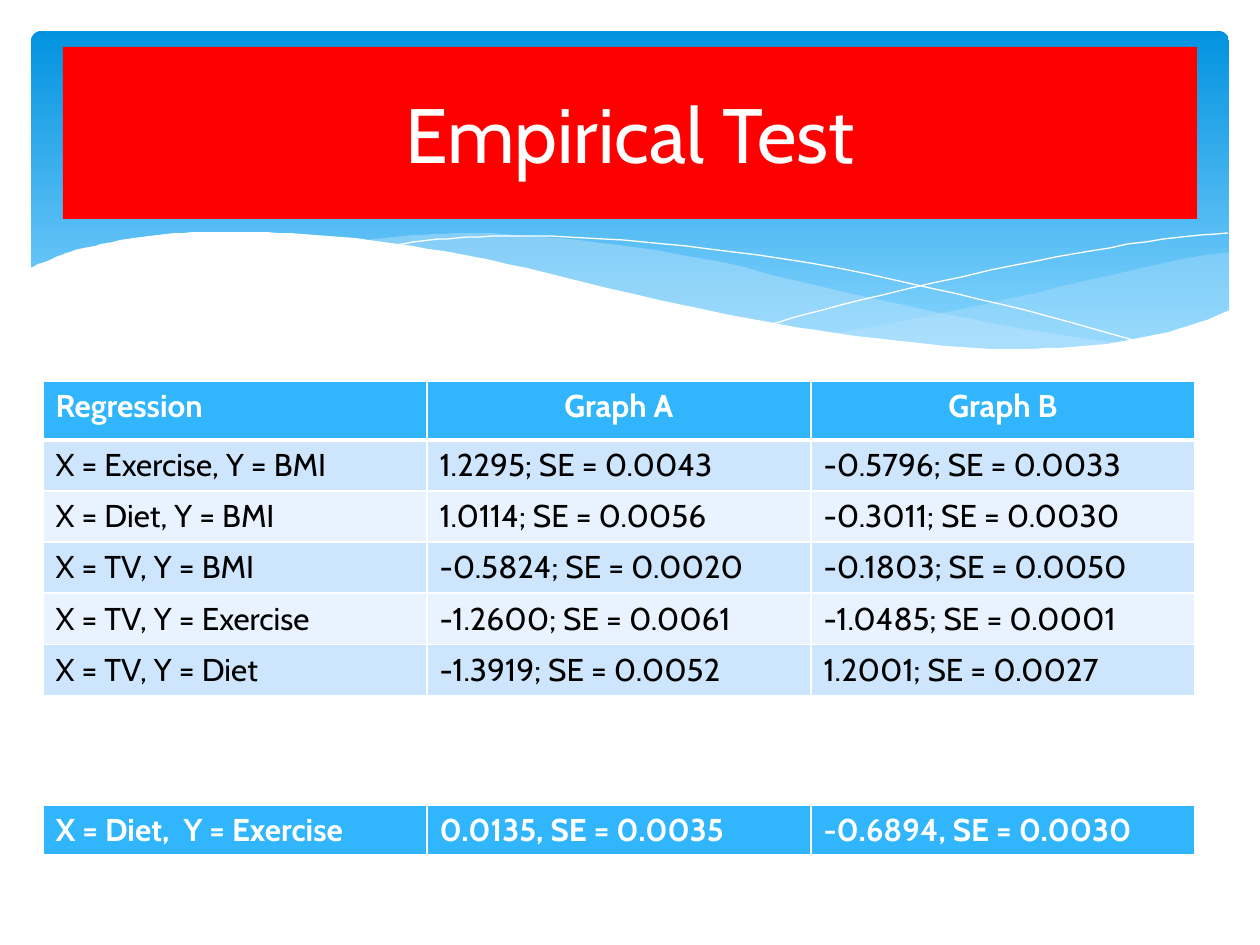
from lxml import etree
from pptx import Presentation
from pptx.dml.color import RGBColor
from pptx.enum.shapes import MSO_SHAPE as Shape
from pptx.enum.text import MSO_ANCHOR as Anchor, PP_ALIGN as Align
from pptx.oxml.ns import qn
from pptx.util import Pt

PX = 9144000 // 1260  # EMU in one px, 126 px to the inch
FONT = "Cabin"
COLORS = {
    "white": "FFFFFF", "black": "000000", "red": "FF0000", "header": "31B6FD",
    "band": "CEE5FE", "pale": "E8F3FF", "mist": "C6E7FC",
    "sky_top": "0293E0", "sky_bottom": "83D3FE",
}

TITLE = "Empirical Test"
HEADINGS = ["Regression", "Graph A", "Graph B"]
RESULTS = [
    ["X = Exercise, Y = BMI", "1.2295; SE = 0.0043", "-0.5796; SE = 0.0033"],
    ["X = Diet, Y = BMI", "1.0114; SE = 0.0056", "-0.3011; SE = 0.0030"],
    ["X = TV, Y = BMI", "-0.5824; SE = 0.0020", "-0.1803; SE = 0.0050"],
    ["X = TV, Y = Exercise", "-1.2600; SE = 0.0061", "-1.0485; SE = 0.0001"],
    ["X = TV, Y = Diet", "-1.3919; SE = 0.0052", "1.2001; SE = 0.0027"],
]
LAST_TEST = ["X = Diet,  Y = Exercise", "0.0135, SE = 0.0035", "-0.6894, SE = 0.0030"]
TABLE_LEFT, COLUMN_WIDTH, HEADING_HEIGHT, ROW_HEIGHT = 43, 384, 59, 51

# Each wave is a list of smooth curves that meet at corners.
RIGHT_WAVE = [
    [(1230, 252), (1194, 257), (1142, 268), (1085, 281), (982, 305), (889, 324), (833, 334)],
    [(833, 334), (906, 343), (969, 348), (1026, 350), (1076, 348), (1120, 343),
     (1160, 334), (1196, 324), (1230, 311)],
]
MIDDLE_WAVE = [
    [(1125, 344), (1055, 334), (977, 320), (890, 302), (793, 280), (736, 265),
     (699, 258), (648, 249), (586, 241), (529, 236), (479, 233), (433, 234),
     (394, 237), (360, 241)],
    [(360, 241), (431, 251), (509, 266), (566, 280), (668, 302), (757, 321),
     (838, 335), (911, 345), (974, 349), (1031, 350), (1081, 349), (1125, 344)],
]
FALLING_LINE = [[(389, 246), (422, 241), (457, 238), (505, 236), (567, 237), (643, 242),
                 (733, 252), (838, 268), (958, 294), (1047, 316), (1143, 343)]]
RISING_LINE = [[(772, 324), (823, 310), (907, 289), (1016, 265), (1091, 251),
                (1164, 239), (1228, 233)]]
WHITE_WAVE = [
    [(1231, 310), (1197, 323), (1159, 334), (1118, 342), (1071, 347), (1019, 349),
     (961, 347), (892, 340), (816, 330), (730, 315), (634, 294), (527, 268),
     (460, 254), (398, 244), (341, 237), (290, 233), (243, 232), (203, 232),
     (166, 234), (134, 238), (107, 243), (84, 248), (66, 253), (50, 260), (29, 268)],
    [(29, 415), (1231, 415)],
]


def rgb(name):
    return RGBColor.from_string(COLORS[name])


def smooth(points, steps=4):
    """Return points along a Catmull-Rom curve through the given points."""
    padded = [points[0], *points, points[-1]]
    curve = [points[0]]
    for a, b, c, d in zip(padded, padded[1:], padded[2:], padded[3:]):
        for step in range(1, steps + 1):
            t = step / steps
            curve.append(tuple(
                0.5 * (2 * q + (r - p) * t + (2 * p - 5 * q + 4 * r - s) * t ** 2
                       + (3 * q - p - 3 * r + s) * t ** 3)
                for p, q, r, s in zip(a, b, c, d)))
    return curve


def write(frame, text, size=18, color="black", bold=False, align=Align.LEFT):
    para = frame.paragraphs[0]
    para.alignment = align
    span = para.add_run()
    span.text = text
    span.font.name, span.font.size, span.font.bold = FONT, Pt(size), bold
    span.font.color.rgb = rgb(color)


def add_box(page, kind, left, top, width, height):
    box = page.shapes.add_shape(kind, left * PX, top * PX, width * PX, height * PX)
    box.shadow.inherit = False
    box.line.fill.background()
    return box


def add_wave(page, curves, fill=None, opacity=100):
    """Draw a filled outline, or a white hairline when no fill is given."""
    points = [point for curve in curves for point in smooth(curve)]
    builder = page.shapes.build_freeform(*points[0], scale=PX)
    builder.add_line_segments(points[1:], close=fill is not None)
    wave = builder.convert_to_shape()
    wave.shadow.inherit = False
    if fill is None:
        wave.fill.background()
        wave.line.color.rgb = rgb("white")
        wave.line.width = 0
        return
    wave.fill.solid()
    wave.fill.fore_color.rgb = rgb(fill)
    wave.line.fill.background()
    if opacity < 100:
        color = wave._element.spPr.find(qn("a:solidFill")).find(qn("a:srgbClr"))
        etree.SubElement(color, qn("a:alpha"), val=str(opacity * 1000))


def add_borders(cell, **widths):
    properties = cell._tc.get_or_add_tcPr()
    for side, points in widths.items():
        line = etree.SubElement(properties, qn(f"a:ln{side}"), w=str(Pt(points)))
        fill = etree.SubElement(line, qn("a:solidFill"))
        etree.SubElement(fill, qn("a:srgbClr"), val=COLORS["white"])


def add_results(page, top, rows, heights, strong_border, centre_headings):
    """Add a table whose first row is a bold heading row."""
    columns = len(rows[0])
    table = page.shapes.add_table(
        len(rows), columns, TABLE_LEFT * PX, top * PX,
        columns * COLUMN_WIDTH * PX, sum(heights) * PX).table
    table.first_row = table.horz_banding = False
    for column in table.columns:
        column.width = COLUMN_WIDTH * PX
    for r, (row, height) in enumerate(zip(rows, heights)):
        table.rows[r].height = height * PX
        heading = r == 0
        for c, text in enumerate(row):
            cell = table.cell(r, c)
            add_borders(cell, L=1, R=1, T=strong_border if r == 1 else 1,
                        B=strong_border if heading else 1)
            cell.fill.solid()
            cell.fill.fore_color.rgb = rgb("header" if heading else ("pale", "band")[r % 2])
            centred = heading and centre_headings and c > 0
            write(cell.text_frame, text, color="white" if heading else "black",
                  bold=heading, align=Align.CENTER if centred else Align.LEFT)


def main():
    deck = Presentation()
    deck.slide_width, deck.slide_height = 1260 * PX, 945 * PX
    page = deck.slides.add_slide(deck.slide_layouts[6])

    sky = add_box(page, Shape.ROUNDED_RECTANGLE, 31, 31, 1198, 340)
    sky.adjustments[0] = 0.03
    sky.fill.gradient()
    sky.fill.gradient_angle = 270
    for stop, position, color in zip(sky.fill.gradient_stops, (0, 0.9), ("sky_top", "sky_bottom")):
        stop.position = position
        stop.color.rgb = rgb(color)

    add_wave(page, RIGHT_WAVE, "mist", 29)
    add_wave(page, MIDDLE_WAVE, "mist", 40)
    add_wave(page, FALLING_LINE)
    add_wave(page, RISING_LINE)
    add_wave(page, WHITE_WAVE, "white")

    heights = [HEADING_HEIGHT] + [ROW_HEIGHT] * len(RESULTS)
    add_results(page, 381, [HEADINGS, *RESULTS], heights, 3, True)

    banner = add_box(page, Shape.RECTANGLE, 63, 47, 1134, 172)
    banner.fill.solid()
    banner.fill.fore_color.rgb = rgb("red")
    banner.text_frame.word_wrap = True
    banner.text_frame.vertical_anchor = Anchor.MIDDLE
    write(banner.text_frame, TITLE, size=44, color="white", align=Align.CENTER)

    add_results(page, 805, [LAST_TEST], [ROW_HEIGHT], 3, False)
    deck.save("out.pptx")


if __name__ == "__main__":
    main()
